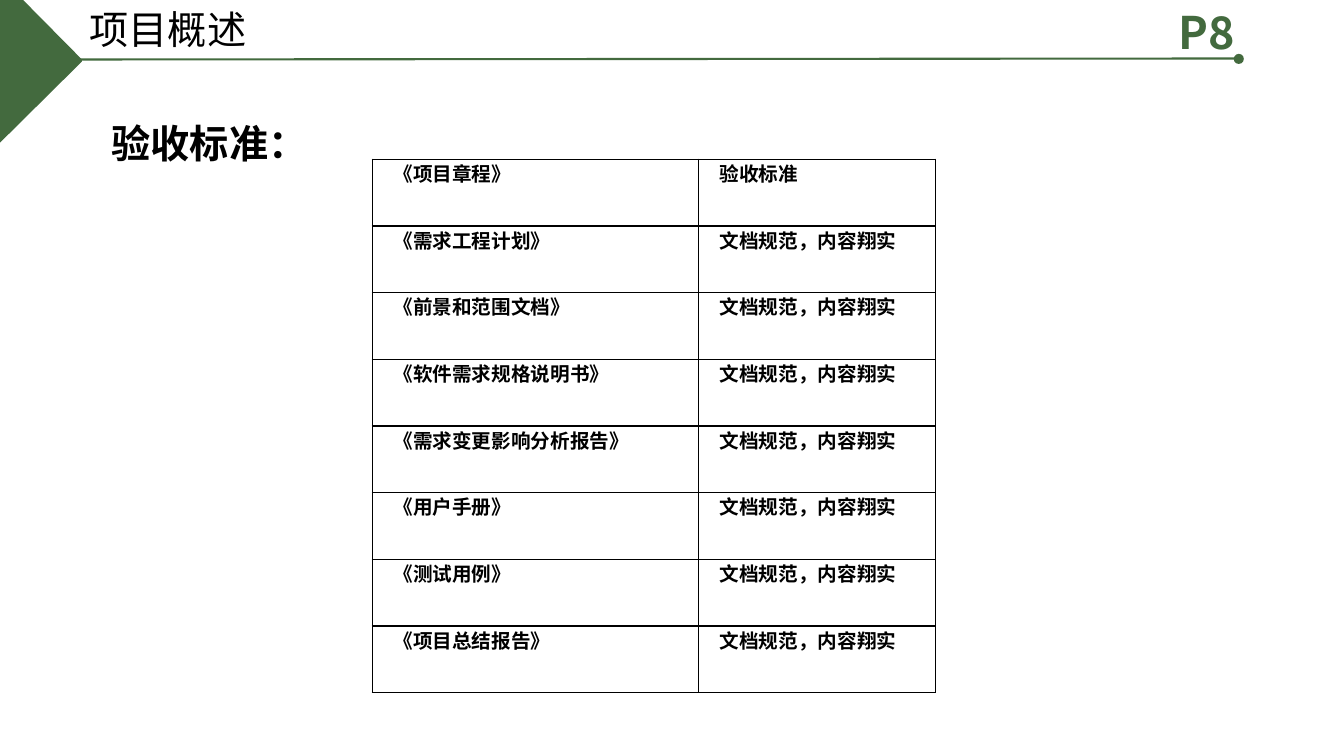
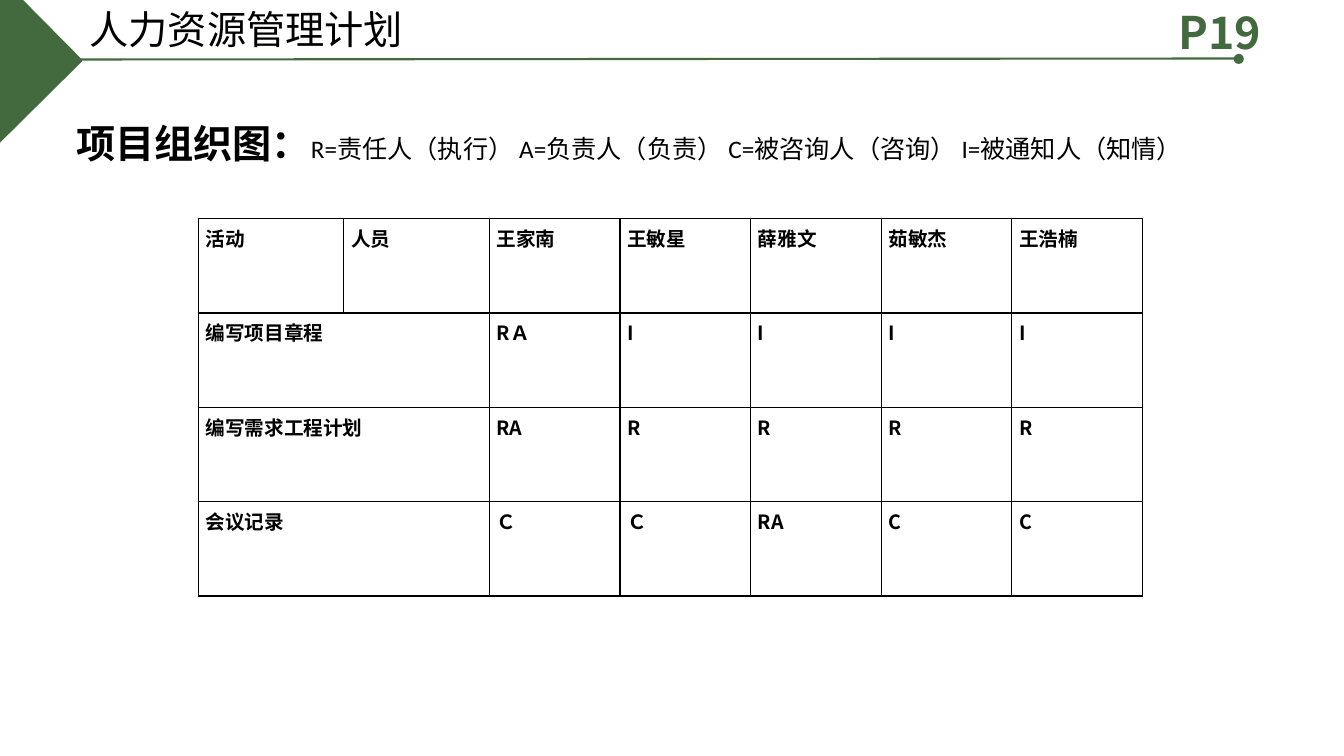
"""Builds two project-management slides: acceptance criteria and a RACI table."""
from dataclasses import dataclass

from lxml import etree
from pptx import Presentation
from pptx.dml.color import RGBColor
from pptx.enum import shapes, text
from pptx.oxml import ns
from pptx.util import Pt


@dataclass(frozen=True)
class Theme:
    """Colours, fonts and type sizes in points."""
    green: RGBColor = RGBColor(0x43, 0x6A, 0x3E)
    black: RGBColor = RGBColor(0, 0, 0)
    sans: str = "Noto Sans CJK SC"
    body: str = "Calibri"
    serif: str = "Times New Roman"
    page: int = 32
    title: int = 28
    note: int = 18
    cell: int = 14


T = Theme()
WIDTH, HEIGHT = 960, 540


def add_run(p, words, size, font, bold=False, color=T.black):
    """Add one formatted run, with the sans face for East Asian glyphs."""
    r = p.add_run()
    r.text = words
    f = r.font
    f.size, f.name, f.bold = Pt(size), font, bold
    f.color.rgb = color
    latin = r._r.rPr.find(ns.qn("a:latin"))
    ea = etree.Element(ns.qn("a:ea"), typeface=T.sans)
    latin.addnext(ea)


def indent_first(p, points):
    """Indent the first line of a paragraph."""
    p._p.get_or_add_pPr().set("indent", str(Pt(points)))


def set_frame(sp, box):
    """Place a text shape and return its left-aligned first paragraph."""
    sp.left, sp.top, sp.width, sp.height = map(Pt, box)
    tf = sp.text_frame
    tf.word_wrap = True
    tf.auto_size = text.MSO_AUTO_SIZE.NONE
    tf.vertical_anchor = text.MSO_ANCHOR.TOP
    p = tf.paragraphs[0]
    p.alignment = text.PP_ALIGN.LEFT
    return p


def add_text(s, box):
    """Add a text box and return its first paragraph."""
    return set_frame(s.shapes.add_textbox(0, 0, 0, 0), box)


def paint(sp):
    """Give a shape the plain green look."""
    sp.shadow.inherit = False
    sp.fill.solid()
    sp.fill.fore_color.rgb = T.green
    sp.line.fill.background()


def add_header(s, title, page, box):
    """Draw the corner, rule, dot, title and page label in a header band."""
    x, y, w, h = box
    tip = y + 42.5
    corner = s.shapes.build_freeform(Pt(x), Pt(y))
    points = [(x + 16.5, y), (x + 58.5, tip), (x + 58.5, tip + 1.5), (x, y + h)]
    corner.add_line_segments([(Pt(a), Pt(b)) for a, b in points])
    paint(corner.convert_to_shape())

    end = x + w - 76.5
    rule = s.shapes.add_connector(shapes.MSO_CONNECTOR.STRAIGHT,
                                  Pt(x + 54.7), Pt(tip), Pt(end), Pt(tip - 0.7))
    rule.line.color.rgb = T.green
    rule.line.width = Pt(1.5)
    etree.SubElement(rule._element.spPr, ns.qn("a:effectLst"))

    dot = 7.2
    paint(s.shapes.add_shape(shapes.MSO_SHAPE.OVAL, Pt(end - 2.2),
                             Pt(tip - 0.4 - dot / 2), Pt(dot), Pt(dot)))

    p = set_frame(s.shapes.title, (x + 56.9, y, 315.4, 41))
    add_run(p, title, T.title, T.sans)
    p = add_text(s, (x + w - 125.5, y, 84.5, 46))
    add_run(p, page, T.page, T.sans, True, T.green)


def new_slide(prs, title, page):
    """Add a title-only slide with the shared header."""
    s = prs.slides.add_slide(prs.slide_layouts[5])
    add_header(s, title, page, (0, 0, WIDTH, 102))
    return s


def set_borders(cell):
    """Outline a cell with thin black lines."""
    tcPr = cell._tc.get_or_add_tcPr()
    for i, side in enumerate(("lnL", "lnR", "lnT", "lnB")):
        ln = etree.Element(ns.qn("a:" + side), w=str(Pt(1)))
        fill = etree.SubElement(ln, ns.qn("a:solidFill"))
        etree.SubElement(fill, ns.qn("a:srgbClr"), val=str(T.black))
        tcPr.insert(i, ln)


def add_grid(s, rows, widths, box, font, spacing, top=0, indent=0,
             align=text.PP_ALIGN.LEFT):
    """Add a bordered table; a None cell merges into the one on its left."""
    tbl = s.shapes.add_table(len(rows), len(widths), *map(Pt, box)).table
    tbl.first_row = tbl.horz_banding = False
    for column, width in zip(tbl.columns, widths):
        column.width = Pt(width)
    for i, row in enumerate(rows):
        tbl.rows[i].height = Pt(box[3] / len(rows))
        for j, words in enumerate(row):
            cell = tbl.cell(i, j)
            cell.fill.background()
            set_borders(cell)
            cell.margin_left = cell.margin_right = Pt(5.2)
            cell.margin_top, cell.margin_bottom = Pt(top), 0
            if words is None:
                tbl.cell(i, j - 1).merge(cell)
                continue
            p = cell.text_frame.paragraphs[0]
            p.alignment, p.line_spacing = align, Pt(spacing)
            indent_first(p, indent)
            add_run(p, words, T.cell, font, True)


def acceptance_slide(prs):
    """Build the acceptance criteria slide."""
    s = new_slide(prs, "项目概述", "P8")
    p = add_text(s, (72.7, 82, 190, 46))
    add_run(p, "验收标准：", T.title, T.body, True)
    documents = ["需求工程计划", "前景和范围文档", "软件需求规格说明书",
                 "需求变更影响分析报告", "用户手册", "测试用例", "项目总结报告"]
    rows = [("《项目章程》", "验收标准")]
    rows += [(f"《{name}》", "文档规范，内容翔实") for name in documents]
    widths = [233, 169.3]
    add_grid(s, rows, widths, (265.8, 113.8, sum(widths), 381), T.serif, 20,
             indent=10, align=text.PP_ALIGN.JUSTIFY)


def raci_slide(prs):
    """Build the staff responsibility slide."""
    s = new_slide(prs, "人力资源管理计划", "P19")
    p = add_text(s, (41, 82, 844, 70))
    indent_first(p, 6.3)
    add_run(p, "项目组织图：", T.title, T.body, True)
    add_run(p, "R=责任人（执行） A=负责人（负责） C=被咨询人（咨询） I=被通知人（知情）",
            T.note, T.body)
    rows = [
        ("活动", "人员", "王家南", "王敏星", "薛雅文", "茹敏杰", "王浩楠"),
        ("编写项目章程", None, "RＡ", "I", "I", "I", "I"),
        ("编写需求工程计划", None, "RA", "R", "R", "R", "R"),
        ("会议记录", None, "Ｃ", "Ｃ", "RA", "C", "C"),
    ]
    widths = [104] * 2 + [93.3] * 5
    add_grid(s, rows, widths, (141.6, 156.2, sum(widths), 269.6), T.sans, 12, top=12)


def main():
    """Build and save the presentation."""
    prs = Presentation()
    prs.slide_width, prs.slide_height = Pt(WIDTH), Pt(HEIGHT)
    acceptance_slide(prs)
    raci_slide(prs)
    prs.save("out.pptx")


main()
